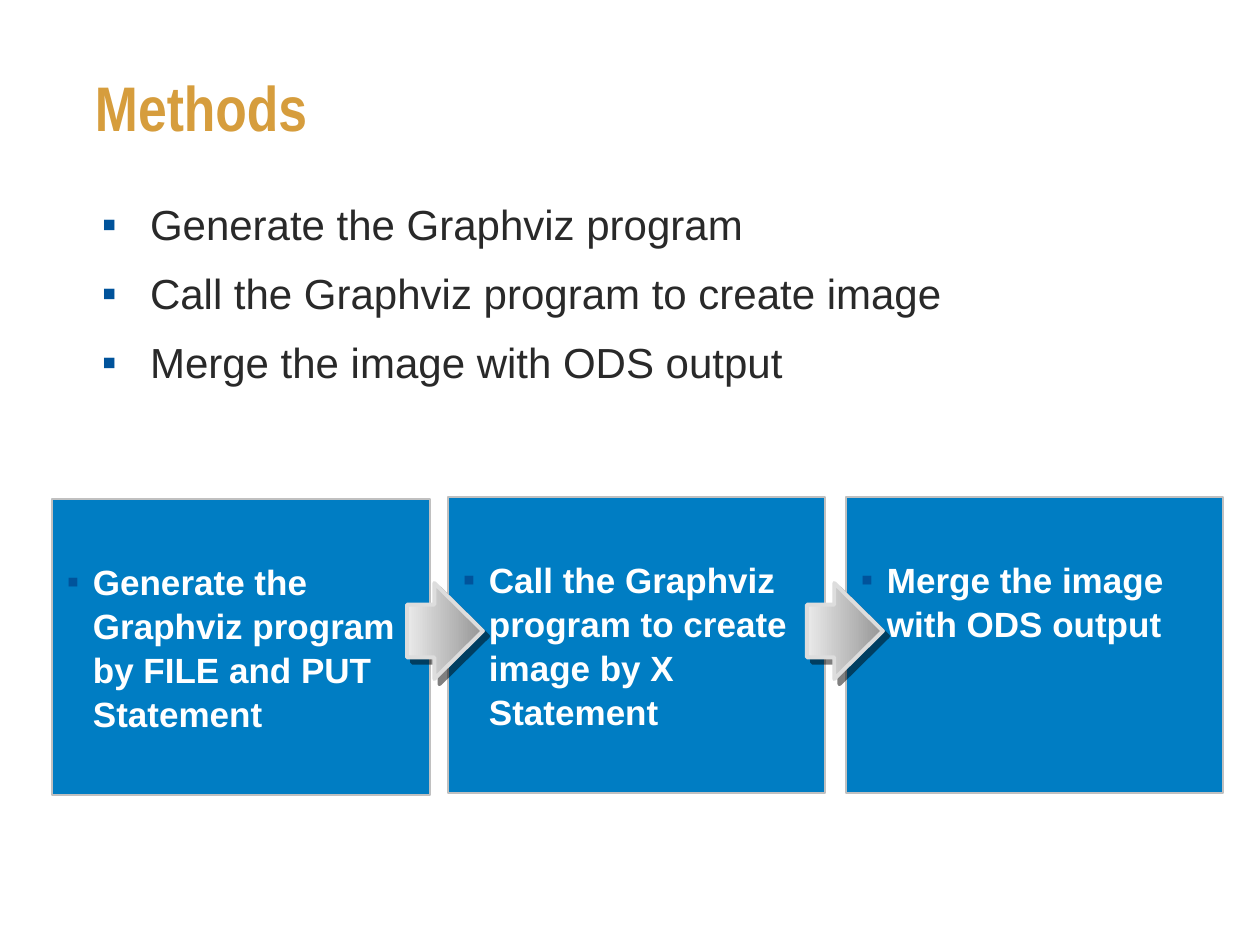
"""Build the Methods slide: three steps listed, then shown as a process."""
from dataclasses import dataclass

from lxml import etree
from pptx import Presentation
from pptx import util as u
from pptx.dml.color import RGBColor
from pptx.enum import shapes, text
from pptx.oxml import ns

PX = u.Inches(1) / 126


@dataclass(frozen=True)
class Theme:
    gold: str = "D69D3D"
    ink: str = "292929"
    bullet: str = "00539B"
    card: str = "007DC3"
    card_line: str = "C0C0C0"
    white: str = "FFFFFF"
    arrow_start: str = "EAEAEA"
    arrow_end: str = "969696"
    arrow_line: str = "DDDDDD"
    shadow: str = "000000"
    heading_font: str = "Arial Narrow"
    body_font: str = "Arial"
    title_size: int = 36
    body_size: int = 24
    card_size: int = 20


@dataclass(frozen=True)
class Area:
    left: int
    top: int
    width: int
    height: int

    def emu(self) -> list[u.Emu]:
        return [px(n) for n in (self.left, self.top, self.width, self.height)]


@dataclass(frozen=True)
class Style:
    font: str
    size: int
    color: str
    bold: bool
    spacing: float
    after: float = 0
    indent: int = 0


@dataclass(frozen=True)
class Card:
    area: Area
    words: str


THEME = Theme()
TITLE = Style(THEME.heading_font, THEME.title_size, THEME.gold, True, 0.83)
BODY = Style(THEME.body_font, THEME.body_size, THEME.ink, False, 0.9, 13.5, 48)
CARD = Style(THEME.body_font, THEME.card_size, THEME.white, True, 1.05, 0, 26)
STEPS = [
    "Generate the Graphviz program",
    "Call the Graphviz program to create image",
    "Merge the image with ODS output",
]
CARDS = [
    Card(Area(52, 499, 378, 296), "Generate the Graphviz program by FILE and PUT Statement"),
    Card(Area(448, 497, 377, 296), "Call the Graphviz program to create image by X Statement"),
    Card(Area(846, 497, 377, 296), "Merge the image with ODS output"),
]
ARROWS = [Area(left, 583, 76, 96) for left in (407, 807)]


def px(count: int) -> u.Emu:
    return u.Emu(round(count * PX))


def rgb(color: str) -> RGBColor:
    return RGBColor.from_string(color)


def add_bullet(para, indent: int) -> None:
    props = para._p.get_or_add_pPr()
    props.set("marL", str(px(indent)))
    props.set("indent", str(-px(indent)))
    color = etree.SubElement(props, ns.qn("a:buClr"))
    etree.SubElement(color, ns.qn("a:srgbClr"), val=THEME.bullet)
    etree.SubElement(props, ns.qn("a:buFont"), typeface=THEME.body_font)
    etree.SubElement(props, ns.qn("a:buChar"), char="▪")


def write(frame, lines: list[str], style: Style, insets: tuple[int, int, int, int]) -> None:
    frame.word_wrap = True
    frame.vertical_anchor = text.MSO_ANCHOR.TOP
    frame.margin_left, frame.margin_top, frame.margin_right, frame.margin_bottom = map(px, insets)
    for index, line in enumerate(lines):
        para = frame.add_paragraph() if index else frame.paragraphs[0]
        para.alignment = text.PP_ALIGN.LEFT
        para.line_spacing = style.spacing
        para.space_before = u.Pt(0)
        para.space_after = u.Pt(style.after)
        if style.indent:
            add_bullet(para, style.indent)
        span = para.add_run()
        span.text = line
        span.font.name = style.font
        span.font.size = u.Pt(style.size)
        span.font.bold = style.bold
        span.font.color.rgb = rgb(style.color)


def add_text(page, area: Area, lines: list[str], style: Style) -> None:
    box = page.shapes.add_textbox(*area.emu())
    write(box.text_frame, lines, style, (13, 10, 13, 6))


def add_card(page, card: Card) -> None:
    box = page.shapes.add_shape(shapes.MSO_SHAPE.RECTANGLE, *card.area.emu())
    box.shadow.inherit = False
    box.fill.solid()
    box.fill.fore_color.rgb = rgb(THEME.card)
    box.line.color.rgb = rgb(THEME.card_line)
    box.line.width = u.Pt(1)
    write(box.text_frame, [card.words], CARD, (15, 59, 10, 10))


def add_arrow(page, area: Area) -> None:
    arrow = page.shapes.add_shape(shapes.MSO_SHAPE.RIGHT_ARROW, *area.emu())
    arrow.adjustments[0] = 0.55
    arrow.adjustments[1] = 0.64
    arrow.fill.gradient()
    arrow.fill.gradient_angle = 0
    for stop, color in zip(arrow.fill.gradient_stops, (THEME.arrow_start, THEME.arrow_end)):
        stop.color.rgb = rgb(color)
    arrow.line.color.rgb = rgb(THEME.arrow_line)
    arrow.line.width = u.Pt(2.25)
    arrow.shadow.inherit = False
    effects = arrow._element.spPr.find(ns.qn("a:effectLst"))
    shadow = etree.SubElement(
        effects, ns.qn("a:outerShdw"), dist=str(u.Pt(4.2)), dir="2700000", algn="ctr", rotWithShape="0"
    )
    color = etree.SubElement(shadow, ns.qn("a:srgbClr"), val=THEME.shadow)
    etree.SubElement(color, ns.qn("a:alpha"), val="50000")


def main() -> None:
    deck = Presentation()
    deck.slide_width, deck.slide_height = px(1260), px(945)
    page = deck.slides.add_slide(deck.slide_layouts[6])
    add_text(page, Area(82, 71, 1130, 100), ["Methods"], TITLE)
    add_text(page, Area(89, 194, 1130, 203), STEPS, BODY)
    for card in CARDS:
        add_card(page, card)
    for area in ARROWS:
        add_arrow(page, area)
    deck.save("out.pptx")


if __name__ == "__main__":
    main()
